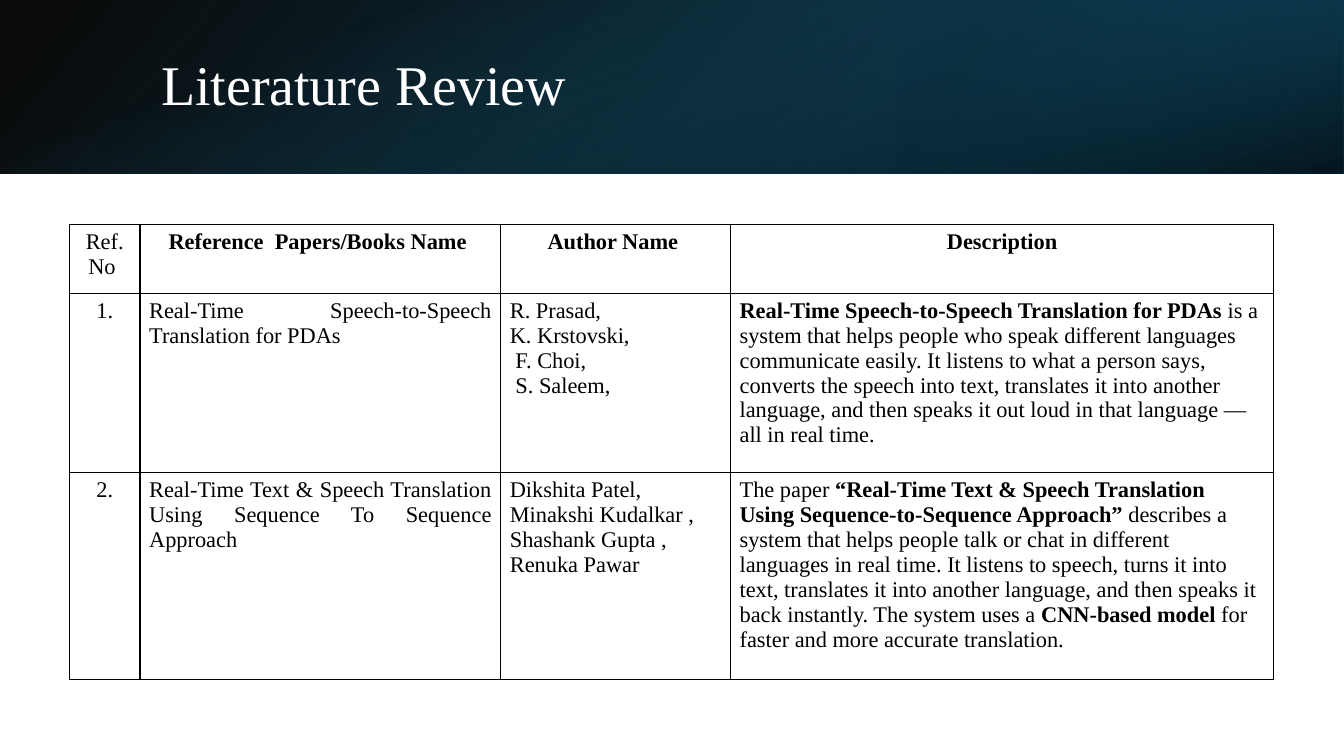
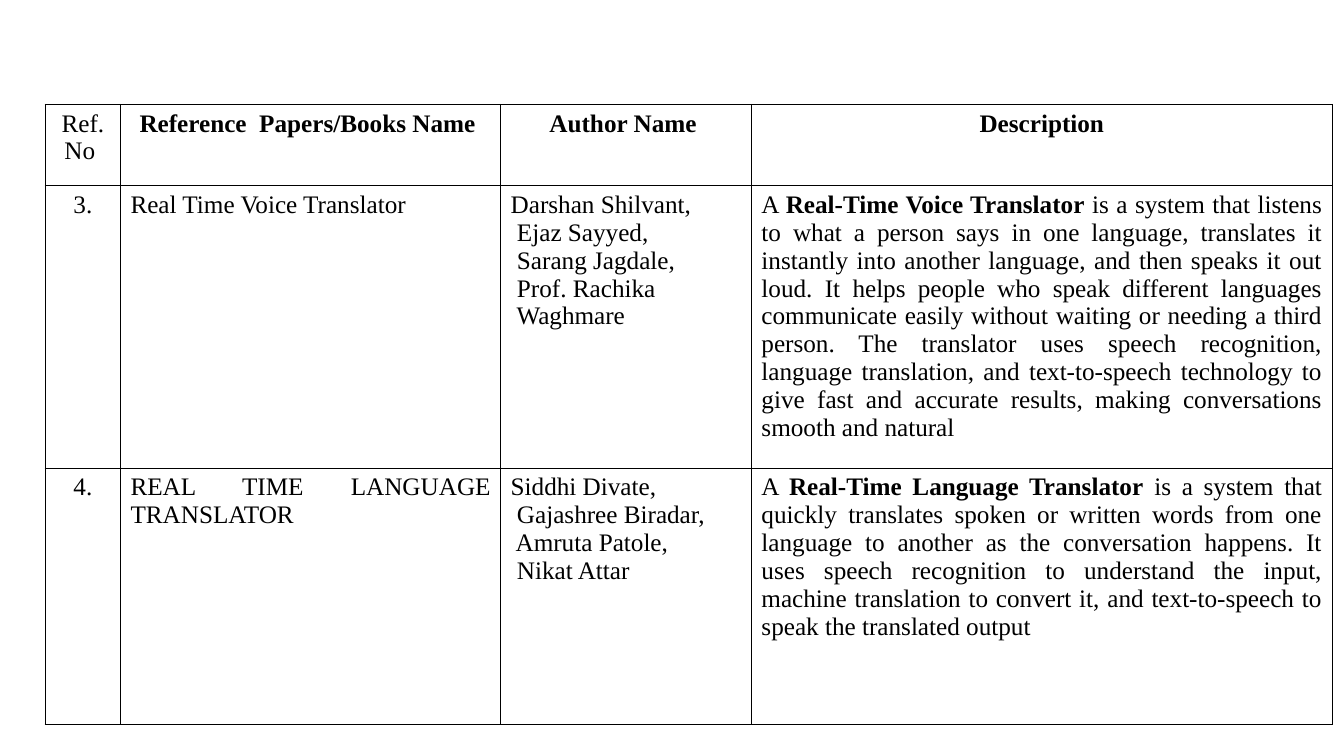
"""Build two literature review slides: a banner with a title, and reference tables."""
from dataclasses import dataclass

from lxml.etree import fromstring
from pptx import Presentation
from pptx.dml.color import RGBColor
from pptx.enum.shapes import MSO_SHAPE
from pptx.enum.text import MSO_ANCHOR, PP_ALIGN
from pptx.oxml.ns import qn
from pptx.util import Cm, Pt


@dataclass(frozen=True)
class Theme:
    font: str = "Times New Roman"
    ink: str = "000000"
    paper: str = "FFFFFF"
    teal: str = "156082"
    deep_teal: str = "104862"
    navy: str = "0B3041"
    title_size: int = 40
    border_width: int = 1


theme = Theme()
NAMESPACE = 'xmlns:a="http://schemas.openxmlformats.org/drawingml/2006/main"'
SLIDE_WIDTH, BAND_HEIGHT = 33.87, 4.37
HEADINGS = ["Ref. No ", "**Reference  Papers/Books Name **", "**Author Name **", "**Description**"]


def write_text(text_frame, text, size, color, alignment):
    """Fill a text frame, turning **marked** parts bold."""
    text_frame.word_wrap = True
    for index, line in enumerate(text.split("\n")):
        paragraph = text_frame.add_paragraph() if index else text_frame.paragraphs[0]
        paragraph.alignment = alignment
        for part_index, part in enumerate(line.split("**")):
            if part:
                run = paragraph.add_run()
                run.text = part
                run.font.name = theme.font
                run.font.size = Pt(size)
                run.font.bold = part_index % 2 == 1
                run.font.color.rgb = RGBColor.from_string(color)


def add_reference_table(slide, left, top, widths, heights, size, side_margin, description_alignment, entries):
    """Add a bordered table of references under the shared headings."""
    shape = slide.shapes.add_table(len(heights), len(widths), Cm(left), Cm(top),
                                   Cm(sum(widths)), Cm(sum(heights)))
    table = shape.table
    table.first_row = table.horz_banding = False
    for column, width in zip(table.columns, widths):
        column.width = Cm(width)
    body_alignments = [PP_ALIGN.CENTER, PP_ALIGN.JUSTIFY, PP_ALIGN.JUSTIFY, description_alignment]
    for row_index, (row, height, texts) in enumerate(zip(table.rows, heights, [HEADINGS, *entries])):
        row.height = Cm(height)
        for cell, text, body_alignment in zip(row.cells, texts, body_alignments):
            cell.margin_left = cell.margin_right = Cm(side_margin)
            cell.margin_top = cell.margin_bottom = Cm(0.13)
            cell.fill.background()
            alignment = body_alignment if row_index else PP_ALIGN.CENTER
            write_text(cell.text_frame, text, size, theme.ink, alignment)
            properties = cell._tc.get_or_add_tcPr()
            for position, side in enumerate("LRTB"):
                properties.insert(position, fromstring(
                    f'<a:ln{side} {NAMESPACE} w="{Pt(theme.border_width)}"><a:solidFill>'
                    f'<a:srgbClr val="{theme.ink}"/></a:solidFill></a:ln{side}>'))


presentation = Presentation()
presentation.slide_width = Cm(SLIDE_WIDTH)
presentation.slide_height = Cm(19.05)
blank_layout = presentation.slide_layouts[6]

review_slide = presentation.slides.add_slide(blank_layout)
turned_offset = (SLIDE_WIDTH - BAND_HEIGHT) / 2
band_layers = [
    ((0, 0, SLIDE_WIDTH, BAND_HEIGHT), 0, True, 140,
     [(0, theme.ink, 96), (100, theme.deep_teal, 100)]),
    ((SLIDE_WIDTH * 2 / 3, 0, SLIDE_WIDTH / 3, BAND_HEIGHT), 180, True, 320,
     [(19, theme.navy, 68), (100, theme.teal, 79)]),
    ((turned_offset, -turned_offset, BAND_HEIGHT, SLIDE_WIDTH), 90, False, 340,
     [(23, theme.teal, 0), (99, theme.ink, 74)]),
]
for box, rotation, flipped, angle, stops in band_layers:
    band = review_slide.shapes.add_shape(MSO_SHAPE.RECTANGLE, *map(Cm, box))
    band.shadow.inherit = False
    band.rotation = rotation
    band.line.fill.background()
    band.fill.background()
    properties = band._element.spPr
    if flipped:
        properties.xfrm.set("flipH", "1")
    stop_list = "".join(
        f'<a:gs pos="{place * 1000}"><a:srgbClr val="{color}">'
        f'<a:alpha val="{opacity * 1000}"/></a:srgbClr></a:gs>'
        for place, color, opacity in stops)
    gradient = fromstring(f'<a:gradFill {NAMESPACE}><a:gsLst>{stop_list}</a:gsLst>'
                          f'<a:lin ang="{angle * 60000}" scaled="0"/></a:gradFill>')
    properties.replace(properties.find(qn("a:noFill")), gradient)

title = review_slide.shapes.add_textbox(Cm(3.81), Cm(0.97), Cm(27.89), Cm(2.44))
title.text_frame.vertical_anchor = MSO_ANCHOR.MIDDLE
write_text(title.text_frame, "Literature Review", theme.title_size, theme.paper, PP_ALIGN.LEFT)
title.text_frame.paragraphs[0].line_spacing = 0.9

add_reference_table(
    review_slide, 1.75, 5.66, [1.78, 9.09, 5.79, 13.69], [1.73, 4.52, 5.21], 16, 0.23, PP_ALIGN.LEFT,
    [
        ["1.", "Real-Time Speech-to-Speech Translation for PDAs",
         "R. Prasad, \nK. Krstovski,\n F. Choi,\n S. Saleem,",
         "**Real-Time Speech-to-Speech Translation for PDAs** is a system that helps people who speak "
         "different languages communicate easily. It listens to what a person says, converts the speech "
         "into text, translates it into another language, and then speaks it out loud in that language "
         "— all in real time."],
        ["2.", "Real-Time Text & Speech Translation Using Sequence To Sequence Approach ",
         "Dikshita Patel,\nMinakshi Kudalkar ,\nShashank Gupta ,\nRenuka Pawar",
         "The paper **“Real-Time Text & Speech Translation Using Sequence-to-Sequence Approach”** "
         "describes a system that helps people talk or chat in different languages in real time. It "
         "listens to speech, turns it into text, translates it into another language, and then speaks it "
         "back instantly. The system uses a **CNN-based model** for faster and more accurate translation."],
    ])

continued_slide = presentation.slides.add_slide(blank_layout)
add_reference_table(
    continued_slide, 1.14, 2.63, [1.9, 9.58, 6.32, 14.63], [2.05, 6.58, 6.46], 18, 0.25, PP_ALIGN.JUSTIFY,
    [
        ["3.", "Real Time Voice Translator",
         "Darshan Shilvant,\n Ejaz Sayyed,\n Sarang Jagdale,\n Prof. Rachika\n Waghmare",
         "A **Real-Time Voice Translator** is a system that listens to what a person says in one language, "
         "translates it instantly into another language, and then speaks it out loud. It helps people who "
         "speak different languages communicate easily without waiting or needing a third person. The "
         "translator uses speech recognition, language translation, and text-to-speech technology to give "
         "fast and accurate results, making conversations smooth and natural"],
        ["4.", "REAL TIME LANGUAGE TRANSLATOR",
         "Siddhi Divate,\n Gajashree Biradar,\n Amruta Patole,\n Nikat Attar",
         "A **Real-Time Language Translator** is a system that quickly translates spoken or written words "
         "from one language to another as the conversation happens. It uses speech recognition to "
         "understand the input, machine translation to convert it, and text-to-speech to speak the "
         "translated output"],
    ])

presentation.save("out.pptx")
